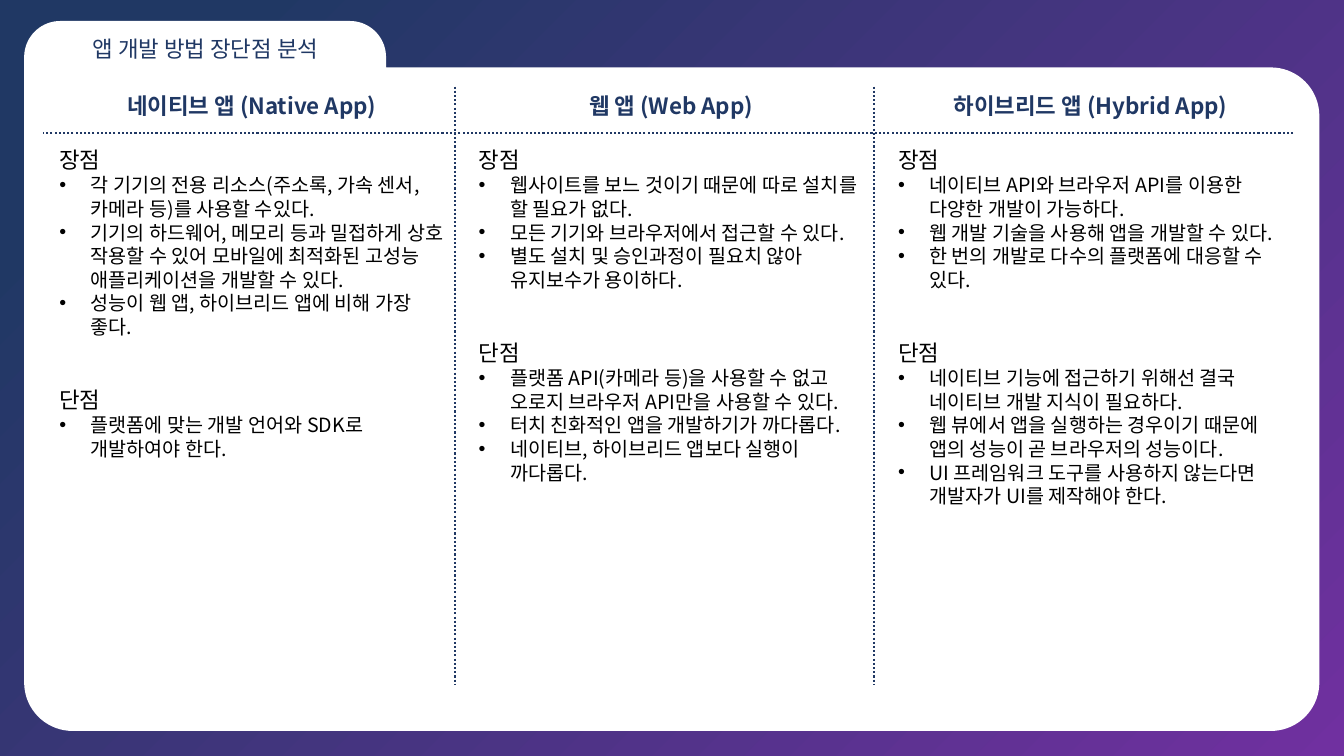
import math

import pptx
import pptx.dml.color
import pptx.enum.dml
import pptx.enum.shapes
import pptx.enum.text
import pptx.oxml
import pptx.oxml.ns
import pptx.util
from pptx.util import Cm

FONT = "Noto Sans CJK KR"
COLORS = {"navy": "203864", "purple": "7030A0", "white": "FFFFFF",
          "black": "000000", "outline": "002060"}
ALIGN = pptx.enum.text.PP_ALIGN
LINE_PITCH = {14: 16.9, 16: 19.4}
COLUMN_LEFT, COLUMN_TOP, COLUMN_WIDTH, COLUMN_STEP = 1.24, 2.18, 10.21, 10.57

COLUMNS = [
    ("네이티브 앱 (Native App)", 9.58,
     ["각 기기의 전용 리소스(주소록, 가속 센서, 카메라 등)를 사용할 수있다.",
      "기기의 하드웨어, 메모리 등과 밀접하게 상호 작용할 수 있어 모바일에 최적화된 "
      "고성능 애플리케이션을 개발할 수 있다.",
      "성능이 웹 앱, 하이브리드 앱에 비해 가장 좋다."],
     ["플랫폼에 맞는 개발 언어와 SDK로 개발하여야 한다."]),
    ("웹 앱 (Web App)", 11.96,
     ["웹사이트를 보느 것이기 때문에 따로 설치를 할 필요가 없다.",
      "모든 기기와 브라우저에서 접근할 수 있다.",
      "별도 설치 및 승인과정이 필요치 않아 유지보수가 용이하다."],
     ["플랫폼 API(카메라 등)을 사용할 수 없고 오로지 브라우저 API만을 사용할 수 있다.",
      "터치 친화적인 앱을 개발하기가 까다롭다.",
      "네이티브, 하이브리드 앱보다 실행이 까다롭다."]),
    ("하이브리드 앱 (Hybrid App)", 11.38,
     ["네이티브 API와 브라우저 API를 이용한 다양한 개발이 가능하다.",
      "웹 개발 기술을 사용해 앱을 개발할 수 있다.",
      "한 번의 개발로 다수의 플랫폼에 대응할 수 있다."],
     ["네이티브 기능에 접근하기 위해선 결국 네이티브 개발 지식이 필요하다.",
      "웹 뷰에서 앱을 실행하는 경우이기 때문에 앱의 성능이 곧 브라우저의 성능이다.",
      "UI 프레임워크 도구를 사용하지 않는다면 개발자가 UI를 제작해야 한다."]),
]


def rgb(name):
    return pptx.dml.color.RGBColor.from_string(COLORS[name])


def add_xml(parent, tag, **attributes):
    child = parent.makeelement(pptx.oxml.ns.qn(tag), attributes)
    parent.append(child)
    return child


def write(box, text, size=14, color="black", bold=False, align=ALIGN.LEFT,
          before=0, bullet=False):
    """Fill the first paragraph of the box, or add one after the others."""
    frame = box.text_frame
    para = frame.add_paragraph() if frame.text else frame.paragraphs[0]
    para.alignment = align
    para.line_spacing = pptx.util.Pt(LINE_PITCH[size])
    para.space_before = pptx.util.Pt(before)
    para.space_after = pptx.util.Pt(0)
    properties = para._p.get_or_add_pPr()
    indent = Cm(0.79) if bullet else 0
    properties.set("marL", str(indent))
    properties.set("indent", str(-indent))
    if bullet:
        add_xml(properties, "a:buFont", typeface="Arial")
        add_xml(properties, "a:buChar", char="•")
    else:
        add_xml(properties, "a:buNone")
    span = para.add_run()
    span.text = text
    span.font.size = pptx.util.Pt(size)
    span.font.bold = bold
    span.font.color.rgb = rgb(color)
    span.font.name = FONT
    add_xml(span.font._element, "a:ea", typeface=FONT)
    return span


def place(box, left, top, width, height):
    box.left, box.top, box.width, box.height = map(Cm, (left, top, width, height))
    frame = box.text_frame
    frame.word_wrap = True
    frame.auto_size = pptx.enum.text.MSO_AUTO_SIZE.NONE
    frame.vertical_anchor = pptx.enum.text.MSO_ANCHOR.TOP


def paint_background(page):
    fill = page.background.fill
    fill.gradient()
    fill.gradient_angle = 135
    for stop, (position, color) in zip(fill.gradient_stops,
                                       [(0, "purple"), (0.88, "navy")]):
        stop.position = position
        stop.color.rgb = rgb(color)


def corner(x, y, radius, start):
    """Points of a clockwise quarter circle around x, y."""
    angles = [math.radians(start + step * 5) for step in range(19)]
    return [(Cm(x + radius * math.cos(a)), Cm(y + radius * math.sin(a)))
            for a in angles]


def add_panel(page):
    """White folder outline: a rounded sheet with a tab at the top left."""
    points = (corner(8.82, 1.44, 0.91, -90) + [(Cm(9.73), Cm(1.7))]
              + corner(32.03, 2.92, 1.22, -90) + corner(32.03, 17.2, 1.22, 0)
              + corner(1.83, 17.2, 1.22, 90) + corner(1.52, 1.44, 0.91, 180))
    builder = page.shapes.build_freeform(*points[0])
    builder.add_line_segments(points[1:], close=True)
    panel = builder.convert_to_shape()
    panel.shadow.inherit = False
    panel.fill.solid()
    panel.fill.fore_color.rgb = rgb("white")
    panel.line.fill.background()
    panel.element.getparent().insert(2, panel.element)


def write_title(box, text):
    place(box, 1.09, 0.74, 8.18, 0.94)
    span = write(box, text, size=16, color="navy", align=ALIGN.CENTER)
    properties = span.font._element
    outline = add_xml(properties, "a:ln", w=str(pptx.util.Pt(0.75)))
    properties.insert(0, outline)
    fill = add_xml(outline, "a:solidFill")
    shade = add_xml(fill, "a:srgbClr", val=COLORS["outline"])
    add_xml(shade, "a:alpha", val="30000")


def write_column(box, left, heading, height, strengths, weaknesses):
    place(box, left, COLUMN_TOP, COLUMN_WIDTH, height)
    box.fill.solid()
    box.fill.fore_color.rgb = rgb("white")
    write(box, heading, size=16, color="navy", bold=True, align=ALIGN.CENTER)
    for label, items, gap in [("장점", strengths, LINE_PITCH[16]),
                              ("단점", weaknesses, 2 * LINE_PITCH[14])]:
        write(box, label, size=16, before=gap)
        for item in items:
            write(box, item, bullet=True)


def add_dotted_line(page, x1, y1, x2, y2):
    rule = page.shapes.add_connector(pptx.enum.shapes.MSO_CONNECTOR.STRAIGHT,
                                     Cm(x1), Cm(y1), Cm(x2), Cm(y2))
    rule.line.color.rgb = rgb("navy")
    rule.line.width = pptx.util.Pt(1.5)
    rule.line.dash_style = pptx.enum.dml.MSO_LINE.ROUND_DOT
    add_xml(rule.element.spPr, "a:effectLst")


def main():
    deck = pptx.Presentation()
    deck.slide_width, deck.slide_height = Cm(33.87), Cm(19.05)
    page = deck.slides.add_slide(deck.slide_layouts.get_by_name("Comparison"))
    paint_background(page)
    add_panel(page)
    title, *bodies = page.placeholders
    write_title(title, "앱 개발 방법 장단점 분석")
    for index, (box, column) in enumerate(zip(bodies, COLUMNS)):
        write_column(box, COLUMN_LEFT + index * COLUMN_STEP, *column)
    for unused in bodies[len(COLUMNS):]:
        unused.element.getparent().remove(unused.element)
    for index in range(1, len(COLUMNS)):
        x = 0.89 + index * COLUMN_STEP
        add_dotted_line(page, x, COLUMN_TOP, x, 17.27)
    add_dotted_line(page, 32.59, 3.35, 1.09, 3.35)
    deck.save("out.pptx")


if __name__ == "__main__":
    main()
